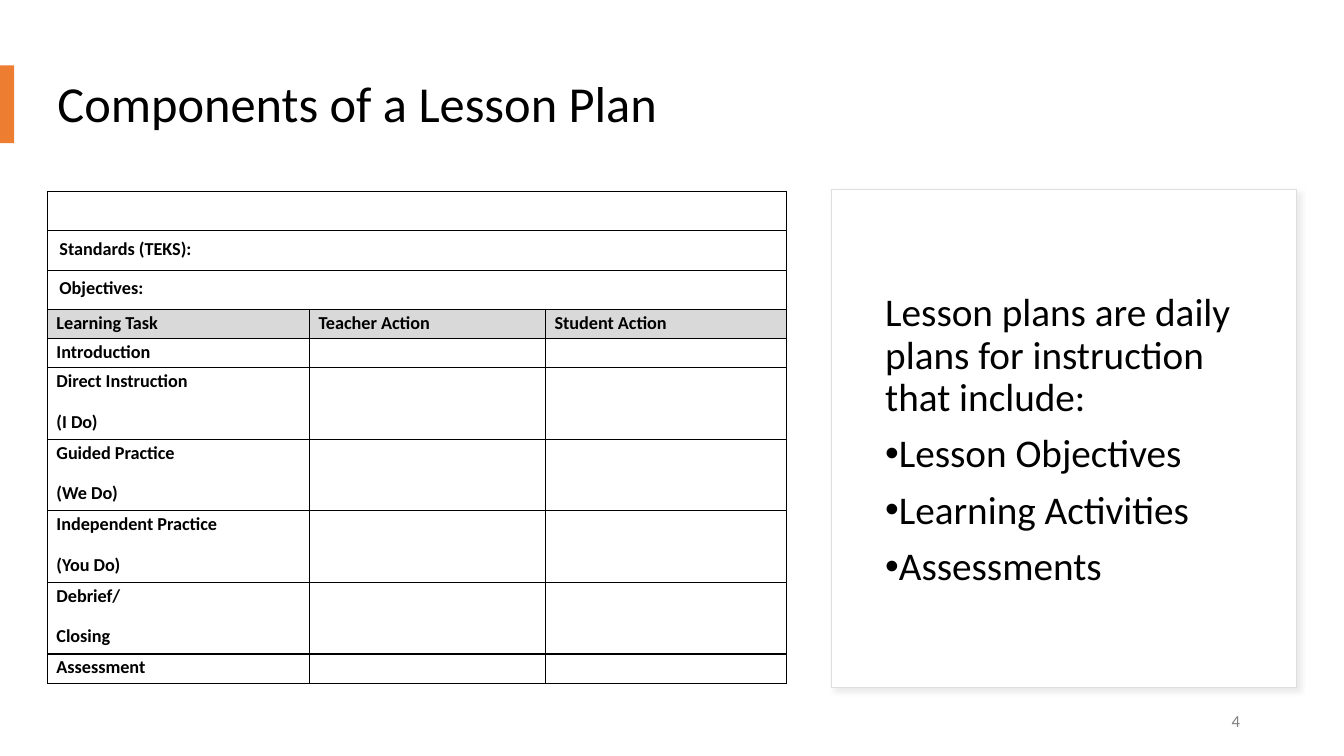
from lxml import etree
from pptx import Presentation
from pptx.dml.color import RGBColor
from pptx.enum.shapes import MSO_SHAPE
from pptx.enum.text import MSO_ANCHOR, MSO_AUTO_SIZE, PP_ALIGN
from pptx.oxml.ns import qn
from pptx.util import Inches, Pt

COLORS = {
    "text": "000000",
    "accent": "ED7D31",
    "panel": "FFFFFF",
    "panel_line": "DEDEDE",
    "shade": "D9D9D9",
    "page_number": "808080",
}
FONT = "Calibri"
TABLE_TEXT = 13
COLUMN_WIDTHS = [2.6, 2.34, 2.39]
WIDE_MARGINS = (0.12, 0.06, 0.12, 0.06)
TIGHT_MARGINS = (0.09, 0.01, 0.09, 0)
# kind of row, height, texts of its cells (paragraphs are split by line breaks)
LESSON_ROWS = [
    ("wide", 0.39, [""]),
    ("wide", 0.39, ["Standards (TEKS):"]),
    ("wide", 0.39, ["Objectives:"]),
    ("header", 0.29, ["Learning Task", "Teacher Action", "Student Action"]),
    ("task", 0.29, ["Introduction", "", ""]),
    ("task", 0.71, ["Direct Instruction\n(I Do)", "", ""]),
    ("task", 0.71, ["Guided Practice\n(We Do)", "", ""]),
    ("task", 0.71, ["Independent Practice\n(You Do)", "", ""]),
    ("task", 0.71, ["Debrief/\nClosing", "", ""]),
    ("task", 0.29, ["Assessment", "", ""]),
]
SUMMARY = "Lesson plans are daily plans for instruction that include:"
SUMMARY_ITEMS = ["Lesson Objectives", "Learning Activities", "Assessments"]


def color(name):
    return RGBColor.from_string(COLORS[name])


def set_values(target, values):
    for name, value in values.items():
        setattr(target, name, value)


def place(shape, box):
    names = ("left", "top", "width", "height")
    set_values(shape, dict(zip(names, map(Inches, box))))


def write(frame, lines, size, color_name="text", bold=False, before=0, **para_format):
    """Write each line as a paragraph; only those after the first get space before."""
    for index, line in enumerate(lines):
        para = frame.paragraphs[0] if index == 0 else frame.add_paragraph()
        set_values(para, para_format)
        para.space_before = Pt(before if index else 0)
        if not line:
            etree.SubElement(para._p, qn("a:endParaRPr"), sz=str(size * 100))
            continue
        span = para.add_run()
        span.text = line
        set_values(span.font, {"name": FONT, "size": Pt(size), "bold": bold})
        span.font.color.rgb = color(color_name)


def set_frame(frame):
    set_values(frame, {
        "word_wrap": True,
        "auto_size": MSO_AUTO_SIZE.NONE,
        "vertical_anchor": MSO_ANCHOR.MIDDLE,
    })


def add_rectangle(page, box, fill, line=None):
    shape = page.shapes.add_shape(MSO_SHAPE.RECTANGLE, *map(Inches, box))
    shape.shadow.inherit = False
    shape.fill.solid()
    shape.fill.fore_color.rgb = color(fill)
    if line:
        shape.line.color.rgb = color(line)
        shape.line.width = Pt(0.75)
    else:
        shape.line.fill.background()
    return shape


def add_soft_shadow(shape):
    effects = shape._element.spPr.find(qn("a:effectLst"))
    shadow = etree.SubElement(
        effects, qn("a:outerShdw"), blurRad=str(Pt(4)), dist=str(Pt(3)),
        dir=str(45 * 60000), algn="tl", rotWithShape="0")
    tone = etree.SubElement(shadow, qn("a:srgbClr"), val=COLORS["shade"])
    etree.SubElement(tone, qn("a:alpha"), val="50000")


def add_heading(page, box):
    left, top, width, height = box
    title = page.shapes.title
    place(title, box)
    set_frame(title.text_frame)
    write(title.text_frame, ["Components of a Lesson Plan"], 36,
          alignment=PP_ALIGN.LEFT, line_spacing=0.9)
    add_rectangle(page, (0, top + 0.2, 0.14, 0.77), "accent")


def add_borders(cell):
    properties = cell._tc.get_or_add_tcPr()
    for side in ("lnL", "lnR", "lnT", "lnB"):
        line = etree.SubElement(properties, qn(f"a:{side}"), w=str(Pt(1)))
        fill = etree.SubElement(line, qn("a:solidFill"))
        etree.SubElement(fill, qn("a:srgbClr"), val=COLORS["text"])


def format_cell(cell, kind):
    margins = WIDE_MARGINS if kind == "wide" else TIGHT_MARGINS
    names = ("margin_left", "margin_top", "margin_right", "margin_bottom")
    set_values(cell, dict(zip(names, map(Inches, margins))))
    add_borders(cell)
    if kind == "header":
        cell.fill.solid()
        cell.fill.fore_color.rgb = color("shade")
    else:
        cell.fill.background()


def add_lesson_table(page, box):
    frame = page.shapes.add_table(
        len(LESSON_ROWS), len(COLUMN_WIDTHS), *map(Inches, box))
    table = frame.table
    set_values(table, {"first_row": False, "horz_banding": False})
    for column, width in zip(table.columns, COLUMN_WIDTHS):
        column.width = Inches(width)
    for row, (kind, height, texts) in zip(table.rows, LESSON_ROWS):
        row.height = Inches(height)
        cells = list(row.cells)
        for cell in cells:
            format_cell(cell, kind)
        if kind == "wide":
            cells[0].merge(cells[-1])
        for cell, text in zip(cells, texts):
            write(cell.text_frame, text.split("\n"), TABLE_TEXT, bold=True,
                  before=6, line_spacing=1.07, space_after=Pt(6))


def set_bullet(para, bulleted):
    properties = para._p.get_or_add_pPr()
    properties.set("marL", "0")
    properties.set("indent", str(Inches(-0.25 if bulleted else 0)))
    if bulleted:
        etree.SubElement(properties, qn("a:buFont"), typeface="Arial")
        etree.SubElement(properties, qn("a:buChar"), char="•")
    else:
        etree.SubElement(properties, qn("a:buNone"))


def add_summary(page, box):
    left, top, width, height = box
    add_soft_shadow(add_rectangle(page, box, "panel", "panel_line"))
    body = page.placeholders[1]
    place(body, (left + 0.43, top + 0.33, 3.78, 4.33))
    # The panel is drawn first, so the text goes above it.
    page.shapes._spTree.append(body._element)
    set_frame(body.text_frame)
    write(body.text_frame, [SUMMARY, *SUMMARY_ITEMS], 28, before=10, line_spacing=0.9)
    for index, para in enumerate(body.text_frame.paragraphs):
        set_bullet(para, index > 0)


def add_page_number(page, box):
    number = page.shapes.add_textbox(*map(Inches, box))
    set_frame(number.text_frame)
    write(number.text_frame, ["4"], 12, "page_number",
          alignment=PP_ALIGN.RIGHT, space_after=Pt(6))


def main():
    deck = Presentation()
    set_values(deck, {"slide_width": Inches(13.33), "slide_height": Inches(7.5)})
    page = deck.slides.add_slide(deck.slide_layouts[1])
    add_heading(page, (0.47, 0.45, 12.25, 1.21))
    add_summary(page, (8.25, 1.88, 4.61, 4.94))
    add_page_number(page, (9.4, 6.95, 3, 0.4))
    add_lesson_table(page, (0.47, 1.9, sum(COLUMN_WIDTHS), 4.89))
    deck.save("out.pptx")


if __name__ == "__main__":
    main()
